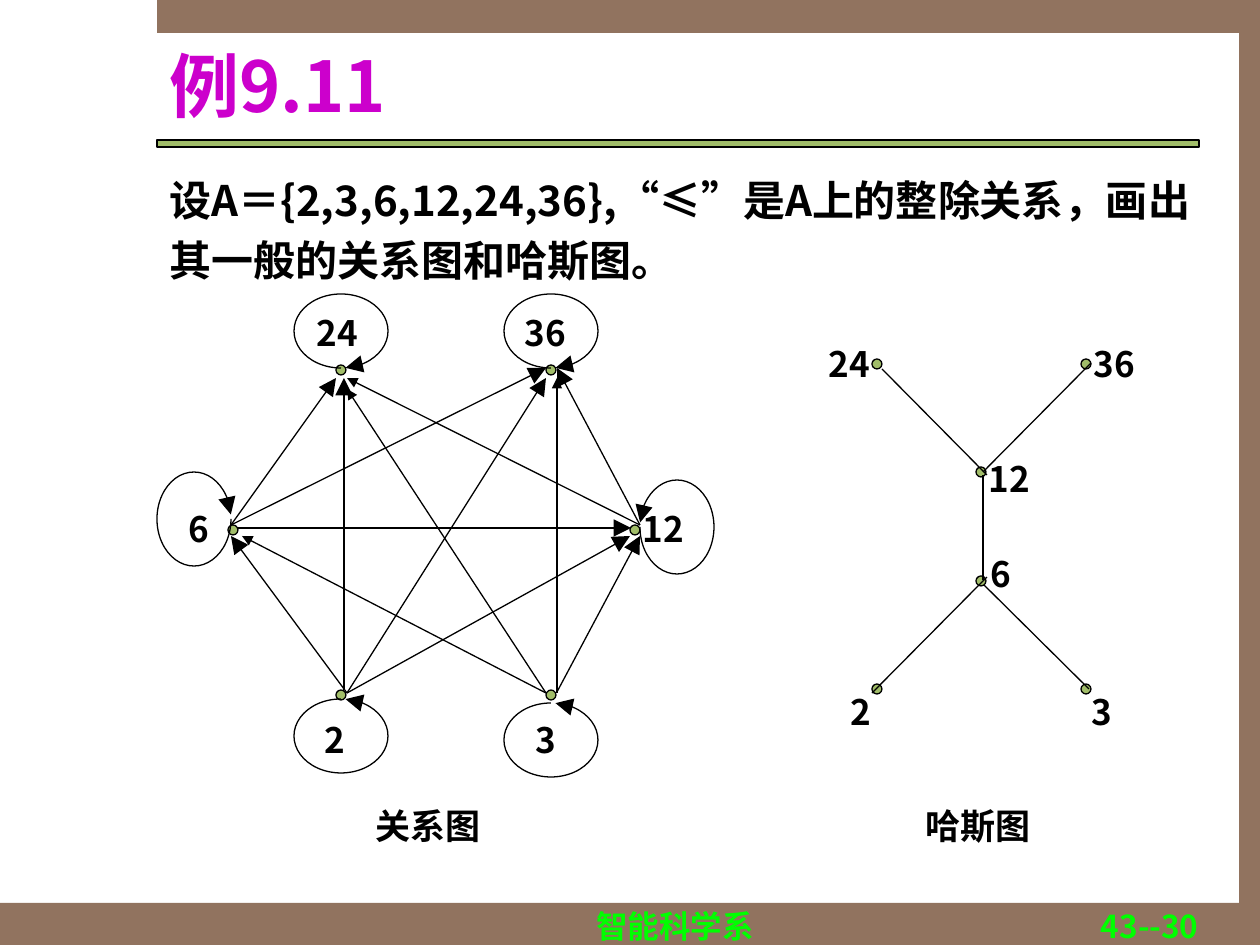
from lxml.etree import SubElement
from pptx import Presentation
from pptx.dml.color import RGBColor
from pptx.enum.shapes import MSO_CONNECTOR, MSO_SHAPE
from pptx.enum.text import MSO_ANCHOR, MSO_AUTO_SIZE, PP_ALIGN
from pptx.oxml.ns import qn
from pptx.util import Emu, Pt

PX_PER_INCH = 126
BROWN = RGBColor(0x91, 0x73, 0x5F)
GREEN = RGBColor(0xA1, 0xBD, 0x69)
LIME = RGBColor(0x00, 0xFF, 0x00)
MAGENTA = RGBColor(0xCC, 0x00, 0xCC)
BLACK = RGBColor(0x00, 0x00, 0x00)
FONT = "Noto Sans CJK SC"
QUOTE_FONT = "Times New Roman"
NODE_SIZE = 10
LABEL_HEIGHT = 55


def px(value):
    return Emu(round(value * 914400 / PX_PER_INCH))


def add_outline(line):
    line.color.rgb = BLACK
    line.width = Pt(0.75)


def add_filled(slide, kind, left, top, width, height, fill, outlined=False):
    shape = slide.shapes.add_shape(kind, px(left), px(top), px(width), px(height))
    shape.shadow.inherit = False
    shape.fill.solid()
    shape.fill.fore_color.rgb = fill
    if outlined:
        add_outline(shape.line)
    else:
        shape.line.fill.background()


def add_text(slide, runs, left, top, width, height, size, color=BLACK,
             align=PP_ALIGN.LEFT, anchor=MSO_ANCHOR.TOP, wrap=True):
    """Add one bold paragraph; runs are (text, font or None) pairs or a string."""
    box = slide.shapes.add_textbox(px(left), px(top), px(width), px(height))
    frame = box.text_frame
    frame.word_wrap = wrap
    frame.auto_size = MSO_AUTO_SIZE.NONE if wrap else MSO_AUTO_SIZE.SHAPE_TO_FIT_TEXT
    frame.vertical_anchor = anchor
    paragraph = frame.paragraphs[0]
    paragraph.alignment = align
    font = paragraph.font
    font.name, font.size, font.bold = FONT, Pt(size), True
    font.color.rgb = color
    defaults = paragraph._p.pPr.find(qn("a:defRPr"))
    SubElement(defaults, qn("a:ea")).set("typeface", FONT)
    for text, run_font in [(runs, None)] if isinstance(runs, str) else runs:
        run = paragraph.add_run()
        run.text = text
        if run_font:
            run.font.name = run_font
    return paragraph


def add_arrowhead(line, end, size):
    head = SubElement(line._get_or_add_ln(), qn(f"a:{end}"))
    for name, value in (("type", "triangle"), ("w", size), ("len", size)):
        head.set(name, value)


def add_edge(slide, left, top, points, arrow_size=None):
    start_x, start_y, end_x, end_y = points
    edge = slide.shapes.add_connector(
        MSO_CONNECTOR.STRAIGHT, px(left + start_x), px(top + start_y),
        px(left + end_x), px(top + end_y))
    add_outline(edge.line)
    if arrow_size:
        add_arrowhead(edge.line, "tailEnd", arrow_size)
    SubElement(edge._element.spPr, qn("a:effectLst"))


def add_loop(slide, left, top, width, height, start, end, arrow_end):
    """Draw a nearly closed clockwise arc between two angles in degrees."""
    loop = slide.shapes.add_shape(MSO_SHAPE.ARC, px(left), px(top), px(width), px(height))
    loop.shadow.inherit = False
    loop.adjustments[0] = start * 0.6
    loop.adjustments[1] = end * 0.6
    loop.fill.background()
    add_outline(loop.line)
    add_arrowhead(loop.line, arrow_end, "lg")


def add_nodes(slide, left, top, nodes):
    """Draw dots and labels; nodes are (label, dot x, dot y, label x, label y)."""
    for label, x, y, label_x, label_y in nodes:
        add_filled(slide, MSO_SHAPE.OVAL, left + x, top + y,
                   NODE_SIZE, NODE_SIZE, GREEN, outlined=True)
        add_text(slide, label, left + label_x, top + label_y,
                 27 + 20 * len(label), LABEL_HEIGHT, 20, wrap=False)


def add_frame(slide, width, height):
    for box in ((0, 903, width, 42), (157, 0, width - 157, 33),
                (1239, 32, width - 1239, 871)):
        add_filled(slide, MSO_SHAPE.RECTANGLE, *box, BROWN)
    add_filled(slide, MSO_SHAPE.RECTANGLE, 157, 140, 1042, 7, GREEN, outlined=True)
    add_text(slide, "智能科学系", 402, 901, 546, 23, 18, LIME, PP_ALIGN.CENTER)
    add_text(slide, "43--30", 949, 901, 262, 23, 18, LIME, PP_ALIGN.RIGHT)


def add_problem(slide, left, top, width):
    add_text(slide, "例9.11", left, top, width, 84, 40, MAGENTA, anchor=MSO_ANCHOR.MIDDLE)
    paragraph = add_text(
        slide,
        [("设A＝{2,3,6,12,24,36},", None), ("“", QUOTE_FONT), ("≤", None),
         ("”", QUOTE_FONT), ("是A上的整除关系，画出其一般的关系图和哈斯图。", None)],
        left, top + 116, width + 21, 134, 24)
    paragraph.line_spacing = 1.2


def add_relation_diagram(slide, left, top):
    add_text(slide, "关系图", left + 206, top + 504, 130, LABEL_HEIGHT, 20, wrap=False)
    add_nodes(slide, left, top, [
        ("24", 179, 71, 147, 11), ("36", 389, 71, 355, 11),
        ("12", 473, 231, 473, 207), ("6", 71, 231, 19, 207),
        ("2", 179, 396, 155, 418), ("3", 389, 396, 366, 418)])
    large_arrows = [
        (190, 399, 473, 242), (190, 399, 74, 242), (187, 396, 187, 84),
        (190, 399, 389, 84), (80, 234, 474, 234), (74, 231, 179, 84),
        (74, 231, 389, 74), (483, 231, 400, 74), (400, 398, 483, 242)]
    medium_arrows = [
        (389, 399, 85, 242), (483, 231, 190, 84),
        (389, 399, 190, 95), (400, 399, 400, 84)]
    for size, arrows in (("lg", large_arrows), ("med", medium_arrows)):
        for points in arrows:
            add_edge(slide, left, top, points, size)
    for x, y, width, height, start, end, arrow_end in (
            (483, 186, 74, 94, 187, 180, "headEnd"),
            (0, 178, 74, 94, 0, 353, "tailEnd"),
            (347, 409, 94, 74, 277, 270, "headEnd"),
            (137, 405, 94, 74, 277, 270, "headEnd"),
            (347, 0, 94, 74, 90, 83, "tailEnd"),
            (137, 0, 94, 74, 90, 83, "tailEnd")):
        add_loop(slide, left + x, top + y, width, height, start, end, arrow_end)


def add_hasse_diagram(slide, left, top):
    add_text(slide, "哈斯图", left + 97, top + 462, 130, LABEL_HEIGHT, 20, wrap=False)
    add_nodes(slide, left, top, [
        ("24", 56, 23, 0, 0), ("36", 265, 23, 265, 0),
        ("12", 160, 131, 160, 115), ("6", 160, 240, 162, 210),
        ("2", 56, 348, 22, 348), ("3", 265, 348, 263, 348)])
    for points in ((275, 27, 167, 136), (167, 139, 167, 244), (66, 33, 171, 139),
                   (171, 241, 56, 357), (168, 249, 273, 353)):
        add_edge(slide, left, top, points)


def main():
    presentation = Presentation()
    presentation.slide_width, presentation.slide_height = px(1260), px(945)
    slide = presentation.slides.add_slide(presentation.slide_layouts[6])
    add_frame(slide, 1260, 945)
    add_problem(slide, 157, 42, 1040)
    add_relation_diagram(slide, 157, 294)
    add_hasse_diagram(slide, 816, 336)
    presentation.save("out.pptx")


if __name__ == "__main__":
    main()
